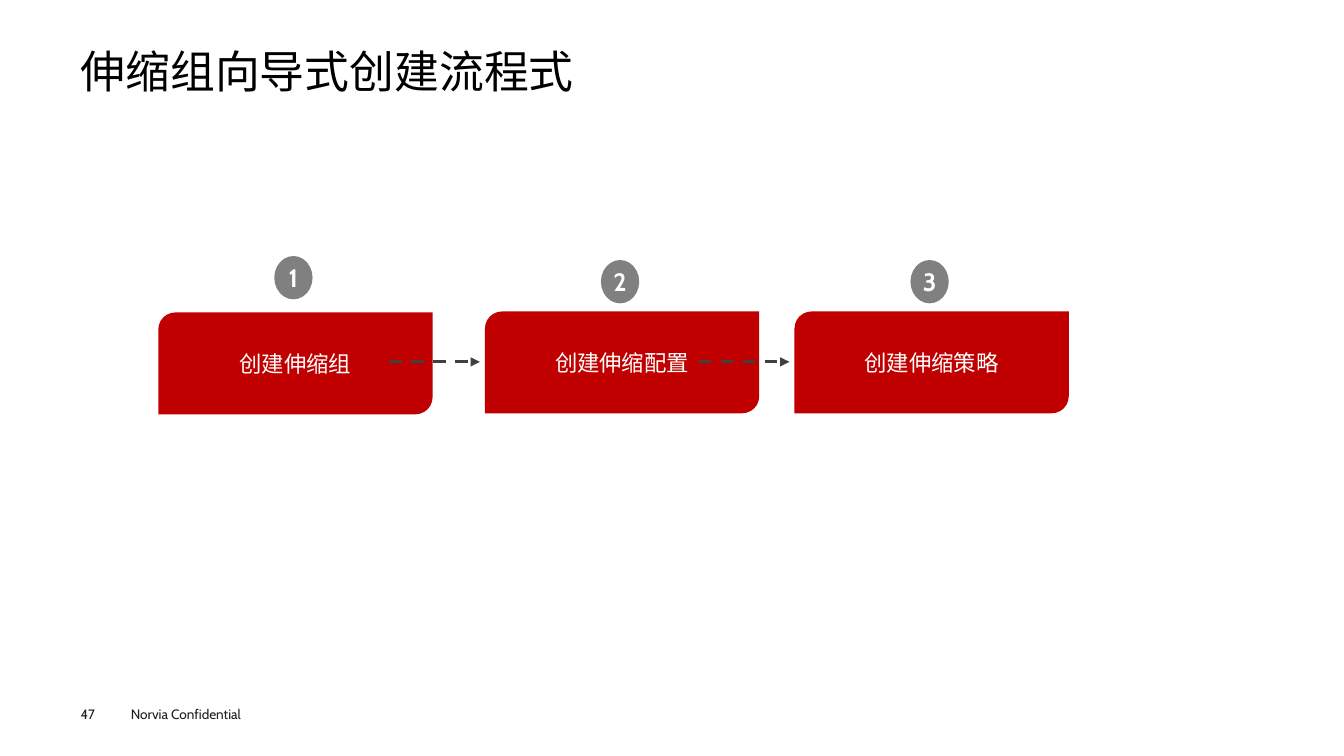
"""Build the slide on the guided creation flow of a scaling group."""
from dataclasses import dataclass

from lxml.etree import SubElement as sub
from pptx import Presentation
from pptx.dml.color import RGBColor
from pptx.enum.dml import MSO_LINE as Dash
from pptx.enum.shapes import MSO_CONNECTOR as Link, MSO_SHAPE as Kind
from pptx.enum.text import MSO_ANCHOR as Anchor, PP_ALIGN as Align
from pptx.oxml.ns import qn
from pptx.shapes.autoshape import Shape
from pptx.slide import Slide
from pptx.util import Pt

PX = 9144
FONT = "Cabin"
RED = RGBColor(0xC0, 0x00, 0x00)
GRAY = RGBColor(0x80, 0x80, 0x80)
DARK = RGBColor(0x40, 0x40, 0x40)
INK = RGBColor(0x1D, 0x1D, 0x1B)
BLACK = RGBColor(0x00, 0x00, 0x00)
WHITE = RGBColor(0xFF, 0xFF, 0xFF)
SIDES = ("margin_left", "margin_top", "margin_right", "margin_bottom")
MID = {"alignment": Align.CENTER, "space_after": Pt(4.5)}


@dataclass(frozen=True)
class Box:
    """Place of an element in px."""
    left: int
    top: int
    width: int
    height: int

    def emu(self) -> list[int]:
        """Return the place in EMU."""
        return [n * PX for n in (self.left, self.top, self.width, self.height)]


@dataclass(frozen=True)
class Label:
    """Plain text outside the flow."""
    text: str
    box: Box
    size: float
    color: RGBColor
    flush: bool = True
    line: float = 1.0


@dataclass(frozen=True)
class Step:
    """One numbered step of the flow."""
    text: str
    left: int
    top: int
    badge: int


LABELS = (
    Label("Norvia Confidential", Box(120, 695, 160, 27), 9.7, INK, flush=False),
    Label("47", Box(80, 700, 55, 16), 9.7, INK),
    Label("伸缩组向导式创建流程式", Box(80, 49, 1173, 54), 32, BLACK, line=0.9),
)
STEPS = (
    Step("创建伸缩组", 157, 310, 254),
    Step("创建伸缩配置", 481, 309, 258),
    Step("创建伸缩策略", 788, 309, 258),
)


def write(shape: Shape, text: str, color: RGBColor, font: dict, para: dict,
          flush: bool) -> None:
    """Put formatted text into a shape."""
    frame = shape.text_frame
    frame.word_wrap = True
    if flush:
        for side in SIDES:
            setattr(frame, side, 0)
    first = frame.paragraphs[0]
    for key, val in para.items():
        setattr(first, key, val)
    run = first.add_run()
    run.text = text
    for key, val in {"name": FONT, **font}.items():
        setattr(run.font, key, val)
    run.font.color.rgb = color


def label(slide: Slide, item: Label) -> None:
    """Draw a text label."""
    shape = slide.shapes.add_textbox(*item.box.emu())
    write(shape, item.text, item.color, {"size": Pt(item.size)},
          {"line_spacing": item.line}, item.flush)


def block(slide: Slide, kind: Kind, box: Box, fill: RGBColor, text: str,
          font: dict, flush: bool) -> None:
    """Draw a filled shape with centred white text."""
    shape = slide.shapes.add_shape(kind, *box.emu())
    shape.shadow.inherit = False
    shape.fill.solid()
    shape.fill.fore_color.rgb = fill
    shape.line.fill.background()
    shape.text_frame.vertical_anchor = Anchor.MIDDLE
    write(shape, text, WHITE, font, MID, flush)


def arrow(slide: Slide, end: int) -> None:
    """Draw a dashed arrow that stops at the given x."""
    ends = [n * PX for n in (end - 90, 359, end, 359)]
    link = slide.shapes.add_connector(Link.STRAIGHT, *ends)
    for key, val in {"width": Pt(2.25), "dash_style": Dash.DASH}.items():
        setattr(link.line, key, val)
    link.line.color.rgb = DARK
    props = link.line._get_or_add_ln()
    sub(props, qn("a:tailEnd"), type="triangle")
    sub(props.getparent(), qn("a:effectLst"))


def main() -> None:
    """Build and save the deck."""
    deck = Presentation()
    deck.slide_width, deck.slide_height = 1333 * PX, 750 * PX
    slide = deck.slides.add_slide(deck.slide_layouts[6])
    for item in LABELS:
        label(slide, item)
    for num, step in enumerate(STEPS, 1):
        if num > 1:
            arrow(slide, step.left - 5)
        block(slide, Kind.ROUND_2_DIAG_RECTANGLE,
              Box(step.left, step.top, 272, 101), RED, step.text,
              {"size": Pt(16)}, False)
        block(slide, Kind.OVAL, Box(step.left + 115, step.badge, 38, 43), GRAY,
              str(num), {"size": Pt(18), "bold": True}, True)
    deck.save("out.pptx")


if __name__ == "__main__":
    main()
